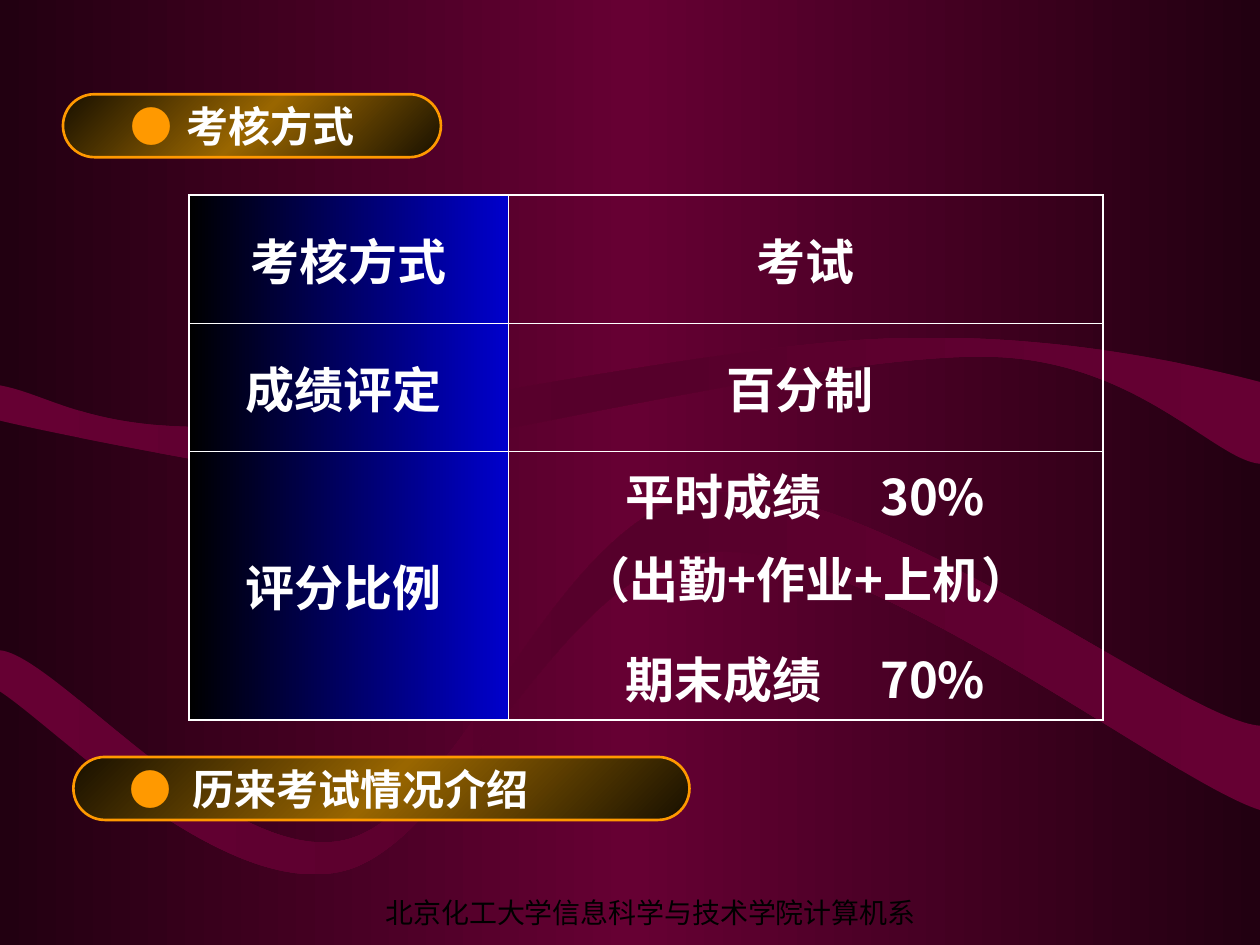
from dataclasses import dataclass

import pptx
import pptx.dml.color
import pptx.enum.shapes
import pptx.enum.text
import pptx.oxml
import pptx.oxml.ns
import pptx.util

Cm = pptx.util.Cm
Pt = pptx.util.Pt
qn = pptx.oxml.ns.qn
Align = pptx.enum.text.PP_ALIGN
Anchor = pptx.enum.text.MSO_ANCHOR
NAMESPACE = pptx.oxml.ns.nsdecls("a")

SANS = "Noto Sans CJK SC"
SERIF = "Times New Roman"
WHITE = "FFFFFF"
BLACK = "000000"
ORANGE = "FF9900"
BACKDROP = ("220011", "660033", "220011")
RIBBON = ("660033", "56002B", "660033")
GOLD = ("181000", "996600", "181000")
BLUE = (BLACK, "0000CC")


@dataclass
class Ribbon:
    lower: list[tuple[float, float]]
    upper: list[tuple[float, float]]


@dataclass
class Pill:
    text: str
    left: float
    top: float
    width: float
    inset: float
    gap: float


@dataclass
class Line:
    text: str
    before: float = 0
    tabs: tuple[float, ...] = ()


RIBBONS = [
    Ribbon(
        [(0, 8.48), (0.94, 8.71), (4.45, 9.4), (5.64, 9.53), (6.83, 9.65),
         (4.83, 9.63), (7.16, 9.25), (9.53, 8.84), (16.76, 7.16), (19.81, 7.19),
         (22.86, 7.19), (24.46, 9.27), (25.4, 9.35)],
        [(25.4, 7.7), (24.13, 7.37), (21.23, 6.68), (17.81, 6.83), (14.38, 6.96),
         (7.8, 8.43), (4.83, 8.59), (1.85, 8.74), (1.02, 7.95), (0, 7.77)],
    ),
    Ribbon(
        [(0, 13.94), (1.14, 14.68), (4.42, 18.06), (6.83, 17.58), (9.22, 17.12),
         (11.25, 11.33), (14.35, 11.13), (17.45, 10.9), (23.55, 15.75), (25.4, 16.33)],
        [(25.4, 14.63), (23.83, 14.53), (17.55, 9.58), (14.27, 9.93), (11.2, 10.31),
         (9.32, 16.41), (6.93, 16.94), (4.55, 17.45), (1.14, 13.21), (0, 13.11)],
    ),
]
PILLS = [
    Pill("考核方式", 1.27, 1.9, 7.62, 1.17, 1.13),
    Pill("历来考试情况介绍", 1.48, 15.26, 12.42, 0.94, 1.27),
]
SHARE_TABS = (2.11, 7.24)
ROWS = [
    [[Line("考核方式")], [Line("考试")]],
    [[Line("成绩评定 ")], [Line("百分制 ")]],
    [
        [Line("评分比例 ")],
        [
            Line("平时成绩\t30%", tabs=SHARE_TABS),
            Line("（出勤+作业+上机）", before=7),
            Line("期末成绩\t70%", before=17, tabs=SHARE_TABS),
        ],
    ],
]


def rgb(value: str):
    return pptx.dml.color.RGBColor.from_string(value)


def fill_gradient(fill, colors: tuple[str, ...], angle: int = 0) -> None:
    fill.gradient()
    fill.gradient_angle = -angle % 360
    stops = fill.gradient_stops[0]._gs.getparent()
    for stop in list(stops):
        stops.remove(stop)
    for index, color in enumerate(colors):
        position = 100000 * index // (len(colors) - 1)
        stops.append(pptx.oxml.parse_xml(
            f'<a:gs {NAMESPACE} pos="{position}"><a:srgbClr val="{color}"/></a:gs>'))


def set_tabs(para, positions: tuple[float, ...]) -> None:
    stops = "".join(f'<a:tab pos="{Cm(position)}" algn="l"/>' for position in positions)
    para._p.get_or_add_pPr().append(
        pptx.oxml.parse_xml(f"<a:tabLst {NAMESPACE}>{stops}</a:tabLst>"))


def write_span(para, text: str, *, size: float, color: str, bold: bool = False,
               face: str = SERIF) -> None:
    span = para.add_run()
    span.text = text
    span.font.size = Pt(size)
    span.font.bold = bold
    span.font.name = face
    span.font.color.rgb = rgb(color)
    span.font._element.find(qn("a:latin")).addnext(
        pptx.oxml.parse_xml(f'<a:ea {NAMESPACE} typeface="{SANS}"/>'))


def prepare_frame(box, inset: float = 0):
    frame = box.text_frame
    frame.word_wrap = True
    frame.vertical_anchor = Anchor.MIDDLE
    frame.margin_left = Cm(inset)
    frame.margin_right = frame.margin_top = frame.margin_bottom = 0
    return frame.paragraphs[0]


def bend_segments(segments) -> None:
    for start in range(0, len(segments), 3):
        group = segments[start:start + 3]
        curve = pptx.oxml.parse_xml(f"<a:cubicBezTo {NAMESPACE}/>")
        group[0].addprevious(curve)
        for segment in group:
            curve.append(segment[0])
            segment.getparent().remove(segment)


def draw_ribbon(page, ribbon: Ribbon) -> None:
    outline = [(Cm(x), Cm(y)) for x, y in ribbon.lower + ribbon.upper]
    builder = page.shapes.build_freeform(*outline[0])
    builder.add_line_segments(outline[1:], close=True)
    shape = builder.convert_to_shape()
    segments = list(shape._element.iter(qn("a:lnTo")))
    turn = len(ribbon.lower)
    bend_segments(segments[:turn - 1])
    bend_segments(segments[turn:turn + len(ribbon.upper) - 1])
    shape.shadow.inherit = False
    fill_gradient(shape.fill, RIBBON)
    shape.line.fill.background()


def draw_pill(page, pill: Pill) -> None:
    shape = page.shapes.add_shape(
        pptx.enum.shapes.MSO_SHAPE.ROUNDED_RECTANGLE,
        Cm(pill.left), Cm(pill.top), Cm(pill.width), Cm(1.27))
    shape.adjustments[0] = 0.5
    shape.shadow.inherit = False
    fill_gradient(shape.fill, GOLD, 45)
    shape.line.color.rgb = rgb(ORANGE)
    shape.line.width = Pt(1.5)
    para = prepare_frame(shape, pill.inset)
    set_tabs(para, (pill.gap,))
    para.alignment = Align.LEFT
    write_span(para, "●", size=24, color=ORANGE)
    write_span(para, "\t" + pill.text, size=24, color=WHITE, bold=True)


def draw_footer(page) -> None:
    box = page.shapes.add_textbox(Cm(7.19), Cm(17.98), Cm(11.86), Cm(0.84))
    para = prepare_frame(box)
    para.alignment = Align.CENTER
    write_span(para, "北京化工大学信息科学与技术学院计算机系", size=16, color=BLACK)


def set_border(cell, edges: dict[str, bool]) -> None:
    properties = cell._tc.get_or_add_tcPr()
    for index, (edge, outer) in enumerate(edges.items()):
        width = Pt(1.08 if outer else 0.45)
        properties.insert(index, pptx.oxml.parse_xml(
            f'<a:{edge} {NAMESPACE} w="{width}"><a:solidFill><a:srgbClr val="{WHITE}"/>'
            f"</a:solidFill></a:{edge}>"))


def fill_cell(cell, lines: list[Line]) -> None:
    cell.vertical_anchor = Anchor.MIDDLE
    frame = cell.text_frame
    for index, line in enumerate(lines):
        para = frame.add_paragraph() if index else frame.paragraphs[0]
        if line.tabs:
            set_tabs(para, line.tabs)
        para.alignment = Align.LEFT if line.tabs else Align.CENTER
        if line.before:
            para.space_before = Pt(line.before)
        text = "\t" + line.text if line.tabs else line.text
        write_span(para, text, size=28, color=WHITE, bold=True, face=SANS)


def draw_grading_table(page) -> None:
    widths, heights = (6.44, 11.98), (2.58, 2.58, 5.43)
    table = page.shapes.add_table(
        len(heights), len(widths), Cm(3.81), Cm(3.93), Cm(sum(widths)), Cm(sum(heights))).table
    table.first_row = table.horz_banding = False
    for column, width in zip(table.columns, widths):
        column.width = Cm(width)
    for r, height in enumerate(heights):
        table.rows[r].height = Cm(height)
        for c, lines in enumerate(ROWS[r]):
            cell = table.cell(r, c)
            if c == 0:
                fill_gradient(cell.fill, BLUE)
            else:
                cell.fill.background()
            fill_cell(cell, lines)
            set_border(cell, {"lnL": c == 0, "lnR": c == 1, "lnT": r == 0, "lnB": r == 2})


def main() -> None:
    deck = pptx.Presentation()
    deck.slide_width, deck.slide_height = Cm(25.4), Cm(19.05)
    page = deck.slides.add_slide(deck.slide_layouts[6])
    fill_gradient(page.background.fill, BACKDROP)
    for ribbon in RIBBONS:
        draw_ribbon(page, ribbon)
    draw_footer(page)
    draw_pill(page, PILLS[0])
    draw_grading_table(page)
    draw_pill(page, PILLS[1])
    deck.save("out.pptx")


if __name__ == "__main__":
    main()
